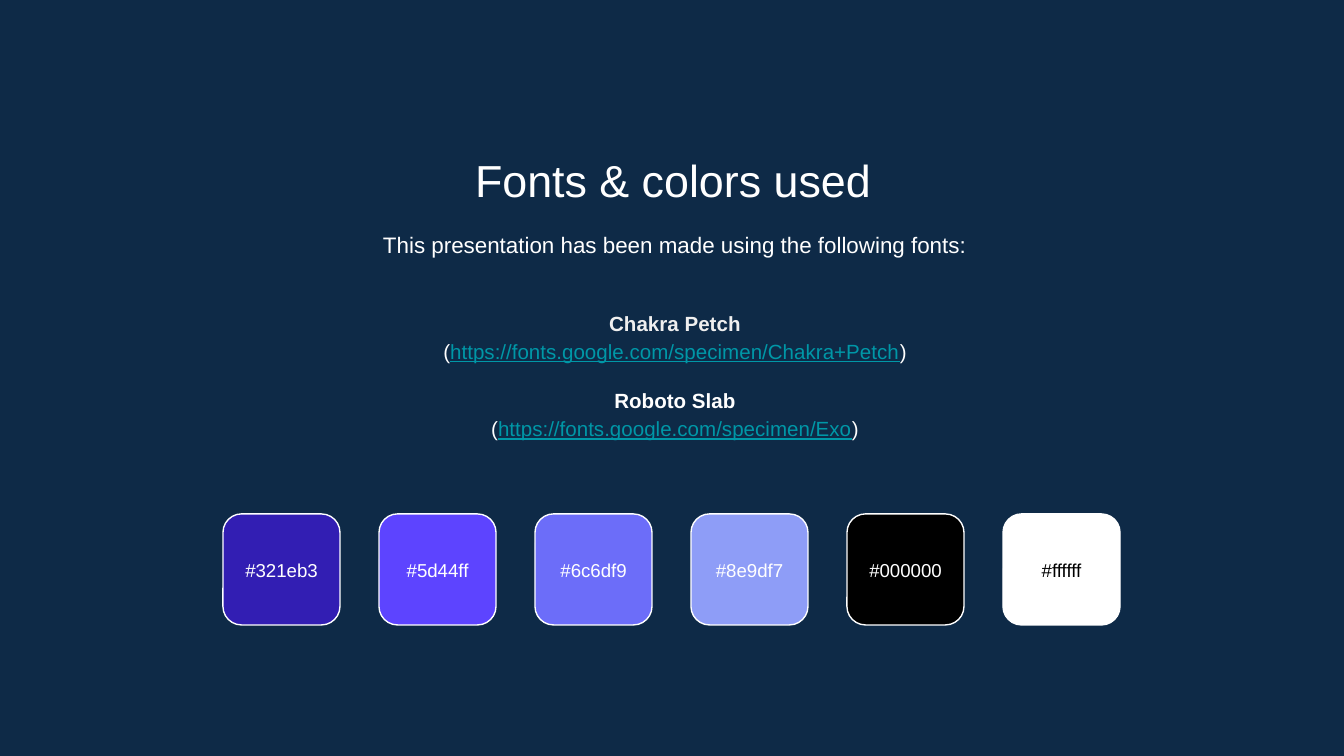
from pptx import Presentation
from pptx.dml.color import RGBColor
from pptx.enum.shapes import MSO_SHAPE
from pptx.enum.text import MSO_ANCHOR, PP_ALIGN
from pptx.util import Pt

ROUND = MSO_SHAPE.ROUNDED_RECTANGLE
TOP, MIDDLE = MSO_ANCHOR.TOP, MSO_ANCHOR.MIDDLE
CENTER = PP_ALIGN.CENTER
SCALE = 914400 / 134.4

NAVY, WHITE, BLACK, PALE, TEAL = "0E2A47", "FFFFFF", "000000", "EFEFEF", "0097A7"
TITLE = "Fonts & colors used"
INTRO = "This presentation has been made using the following fonts:"
FONTS = [
    ("Chakra Petch", PALE, "https://fonts.google.com/specimen/Chakra+Petch"),
    ("Roboto Slab", WHITE, "https://fonts.google.com/specimen/Exo"),
]
COLORS = ["#321eb3", "#5d44ff", "#6c6df9", "#8e9df7", "#000000", "#ffffff"]
LEFT, STEP, WIDTH = 223, 156, 117


def px(n):
    return round(n * SCALE)


def rgb(code):
    return RGBColor.from_string(code.lstrip("#").upper())


def add_box(place, anchor=TOP):
    frame = slide.shapes.add_textbox(*map(px, place)).text_frame
    frame.word_wrap = True
    frame.vertical_anchor = anchor
    frame.margin_left = frame.margin_right = px(13)
    frame.margin_top = frame.margin_bottom = px(13)
    return frame


def style(para, size, color=WHITE, space=None, bold=False):
    para.alignment = CENTER
    para.line_spacing = space
    font = para.font
    font.name, font.size, font.bold = "Arial", Pt(size), bold
    font.color.rgb = rgb(color)


def add_line(place, text, size, color=WHITE, space=None, anchor=TOP):
    para = add_box(place, anchor).paragraphs[0]
    para.text = text
    style(para, size, color, space)


deck = Presentation()
deck.slide_width, deck.slide_height = px(1344), px(756)
slide = deck.slides.add_slide(deck.slide_layouts[6])
fill = slide.background.fill
fill.solid()
fill.fore_color.rgb = rgb(NAVY)

add_line((155, 140, 1036, 71), TITLE, 24)
add_line((157, 214, 1036, 65), INTRO, 12, space=1.15)

frame = add_box((157, 282, 1036, 184), MIDDLE)
for i, (name, color, url) in enumerate(FONTS):
    head = frame.add_paragraph() if i else frame.paragraphs[0]
    head.text = name
    style(head, 11, color, 1.15, True)
    if i:
        head.space_before = Pt(11)
    para = frame.add_paragraph()
    style(para, 11, space=1.15)
    for text in ("(", url, ")"):
        run = para.add_run()
        run.text = text
        if text == url:
            run.font.underline = True
            run.font.color.rgb = rgb(TEAL)

for i, code in enumerate(COLORS):
    x = LEFT + i * STEP
    tile = slide.shapes.add_shape(ROUND, *map(px, (x, 514, WIDTH, 111)))
    tile.shadow.inherit = False
    tile.fill.solid()
    tile.fill.fore_color.rgb = rgb(code)
    tile.line.color.rgb = rgb(WHITE)
    tile.line.width = Pt(0.75)
    ink = BLACK if code == "#ffffff" else WHITE
    add_line((x, 538, WIDTH, 65), code, 10, ink, anchor=MIDDLE)

deck.save("out.pptx")
